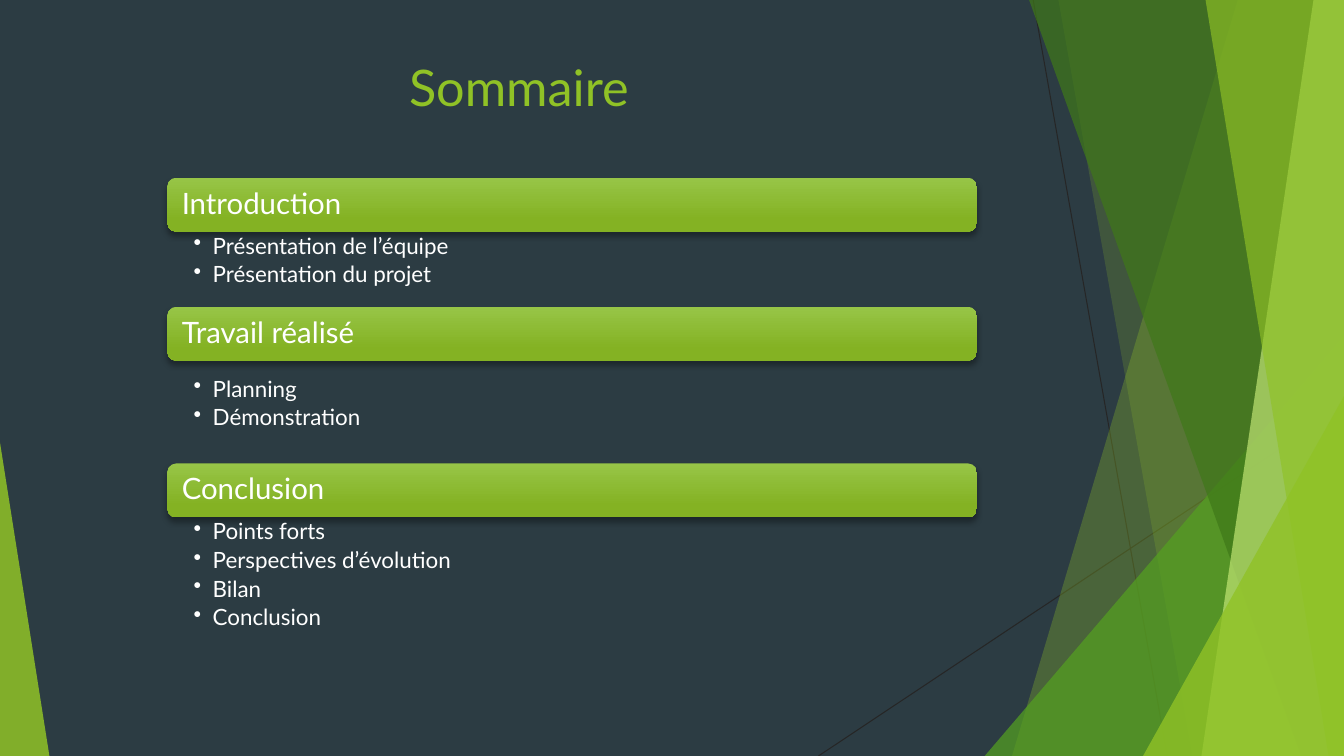
from lxml.etree import SubElement
from pptx import Presentation
from pptx.dml.color import RGBColor
from pptx.enum.shapes import MSO_CONNECTOR, MSO_SHAPE
from pptx.enum.text import MSO_ANCHOR
from pptx.oxml.ns import qn
from pptx.util import Pt

SLIDE_WIDTH, SLIDE_HEIGHT = 960, 540
FONT = "Lato"
SLATE = RGBColor(0x2C, 0x3C, 0x43)
LIME = RGBColor(0x90, 0xC2, 0x26)
GREEN = RGBColor(0x54, 0xA0, 0x21)
FOREST = RGBColor(0x3F, 0x78, 0x19)
PALE_LIME = RGBColor(0xC0, 0xE4, 0x74)
BAR_TOP_COLOUR = RGBColor(0x97, 0xC5, 0x47)
BAR_BOTTOM_COLOUR = RGBColor(0x84, 0xB2, 0x23)
CHARCOAL = RGBColor(0x26, 0x26, 0x26)
WHITE = RGBColor(0xFF, 0xFF, 0xFF)

TITLE = "Sommaire"
# heading, top of bar, gap below bar, height of list, items
SECTIONS = [
    ("Introduction", 126.9, 0, 63.4,
     ["Présentation de l’équipe", "Présentation du projet"]),
    ("Travail réalisé", 219.1, 10, 63.4, ["Planning", "Démonstration"]),
    ("Conclusion", 331, 0, 83.5,
     ["Points forts", "Perspectives d’évolution", "Bilan", "Conclusion"]),
]
BAR_LEFT, BAR_WIDTH, BAR_HEIGHT = 119.6, 578.2, 38.6
BULLET_INDENT = 13.7

# x1, y1, x2, y2
THIN_LINES = [(738, 0, 833.8, 540), (960, 290.2, 584.6, 540)]
# A band runs from (top x, bottom x) to the right edge of the slide.
# A triangle stands on the bottom edge: (left, top, width, apex).
FACETS = [
    ("band", (884.2, 722.9), LIME, 30),
    ("band", (756, 851.8), LIME, 20),
    ("triangle", (703.4, 239.8, 256.6, 1), GREEN, 72),
    ("band", (735.1, 929.5), FOREST, 70),
    ("band", (938.2, 858.2), PALE_LIME, 70),
    ("band", (861.1, 949), LIME, 65),
    ("triangle", (816.5, 283, 143.5, 1), LIME, 80),
    ("triangle", (0, 316.1, 35.3, 0), LIME, 85),
]


def add_thin_line(slide, ends):
    line = slide.shapes.add_connector(MSO_CONNECTOR.STRAIGHT, *map(Pt, ends))
    line.line.color.rgb = CHARCOAL
    line.line.width = Pt(0.75)
    SubElement(line.element.spPr, qn("a:effectLst"))


def add_band(slide, top_x, bottom_x):
    builder = slide.shapes.build_freeform(Pt(top_x), 0)
    corners = [(SLIDE_WIDTH, 0), (SLIDE_WIDTH, SLIDE_HEIGHT), (bottom_x, SLIDE_HEIGHT)]
    builder.add_line_segments([(Pt(x), Pt(y)) for x, y in corners], close=True)
    return builder.convert_to_shape()


def add_triangle(slide, left, top, width, apex):
    triangle = slide.shapes.add_shape(
        MSO_SHAPE.ISOSCELES_TRIANGLE, Pt(left), Pt(top), Pt(width), Pt(SLIDE_HEIGHT - top))
    triangle.adjustments[0] = apex
    return triangle


def add_facet(slide, kind, geometry, colour, opacity):
    shape = {"band": add_band, "triangle": add_triangle}[kind](slide, *geometry)
    shape.shadow.inherit = False
    shape.line.fill.background()
    shape.fill.solid()
    shape.fill.fore_color.rgb = colour
    colour_element = shape.element.spPr.find(".//" + qn("a:srgbClr"))
    SubElement(colour_element, qn("a:alpha"), val=str(opacity * 1000))


def add_drop_shadow(shape):
    shape.shadow.inherit = False
    effects = shape.element.spPr.find(qn("a:effectLst"))
    shadow = SubElement(effects, qn("a:outerShdw"), blurRad=str(Pt(4)), dist=str(Pt(3)),
                        dir="5400000", algn="ctr", rotWithShape="0")
    black = SubElement(shadow, qn("a:srgbClr"), val="000000")
    SubElement(black, qn("a:alpha"), val="35000")


def set_text(shape, lines, size, colour, insets):
    """Write one paragraph per line; insets are left, top, right, bottom."""
    frame = shape.text_frame
    frame.word_wrap = True
    frame.margin_left, frame.margin_top, frame.margin_right, frame.margin_bottom = map(Pt, insets)
    frame.text = "\n".join(lines)
    for paragraph in frame.paragraphs:
        paragraph.font.name = FONT
        paragraph.font.size = Pt(size)
        paragraph.font.color.rgb = colour
    return frame


def add_text_box(slide, box, *text):
    return set_text(slide.shapes.add_textbox(*map(Pt, box)), *text)


def add_bar(slide, heading, top):
    bar = slide.shapes.add_shape(
        MSO_SHAPE.ROUNDED_RECTANGLE, Pt(BAR_LEFT), Pt(top), Pt(BAR_WIDTH), Pt(BAR_HEIGHT))
    add_drop_shadow(bar)
    bar.line.fill.background()
    bar.fill.gradient()
    bar.fill.gradient_angle = 270
    start, end = bar.fill.gradient_stops
    start.color.rgb, start.position = BAR_TOP_COLOUR, 0
    end.color.rgb, end.position = BAR_BOTTOM_COLOUR, 0.78
    frame = set_text(bar, [heading], 21, WHITE, (8.4, 6, 8.4, 6))
    frame.vertical_anchor = MSO_ANCHOR.MIDDLE
    frame.paragraphs[0].line_spacing = 0.9
    frame.paragraphs[0].alignment = 1


def add_bullets(slide, items, top, height):
    frame = add_text_box(slide, (BAR_LEFT, top, BAR_WIDTH, height),
                         items, 16, WHITE, (18.7, 2.2, 11.5, 2.2))
    for paragraph in frame.paragraphs:
        paragraph.line_spacing = 0.9
        paragraph.space_after = Pt(3.2)
        properties = paragraph._p.get_or_add_pPr()
        properties.set("marL", str(Pt(BULLET_INDENT)))
        properties.set("indent", str(-Pt(BULLET_INDENT)))
        bullet = properties.makeelement(qn("a:buChar"), {"char": "•"})
        properties.find(qn("a:spcAft")).addnext(bullet)


def main():
    presentation = Presentation()
    presentation.slide_width, presentation.slide_height = Pt(SLIDE_WIDTH), Pt(SLIDE_HEIGHT)
    slide = presentation.slides.add_slide(presentation.slide_layouts[6])
    slide.background.fill.solid()
    slide.background.fill.fore_color.rgb = SLATE

    for ends in THIN_LINES:
        add_thin_line(slide, ends)
    for facet in FACETS:
        add_facet(slide, *facet)
    add_text_box(slide, (285.1, 36.7, 185.8, 64.1), [TITLE], 36, LIME, (7.2, 3.6, 7.2, 3.6))
    for heading, top, gap, height, items in SECTIONS:
        add_bar(slide, heading, top)
        add_bullets(slide, items, top + BAR_HEIGHT + gap, height)
    presentation.save("out.pptx")


if __name__ == "__main__":
    main()
